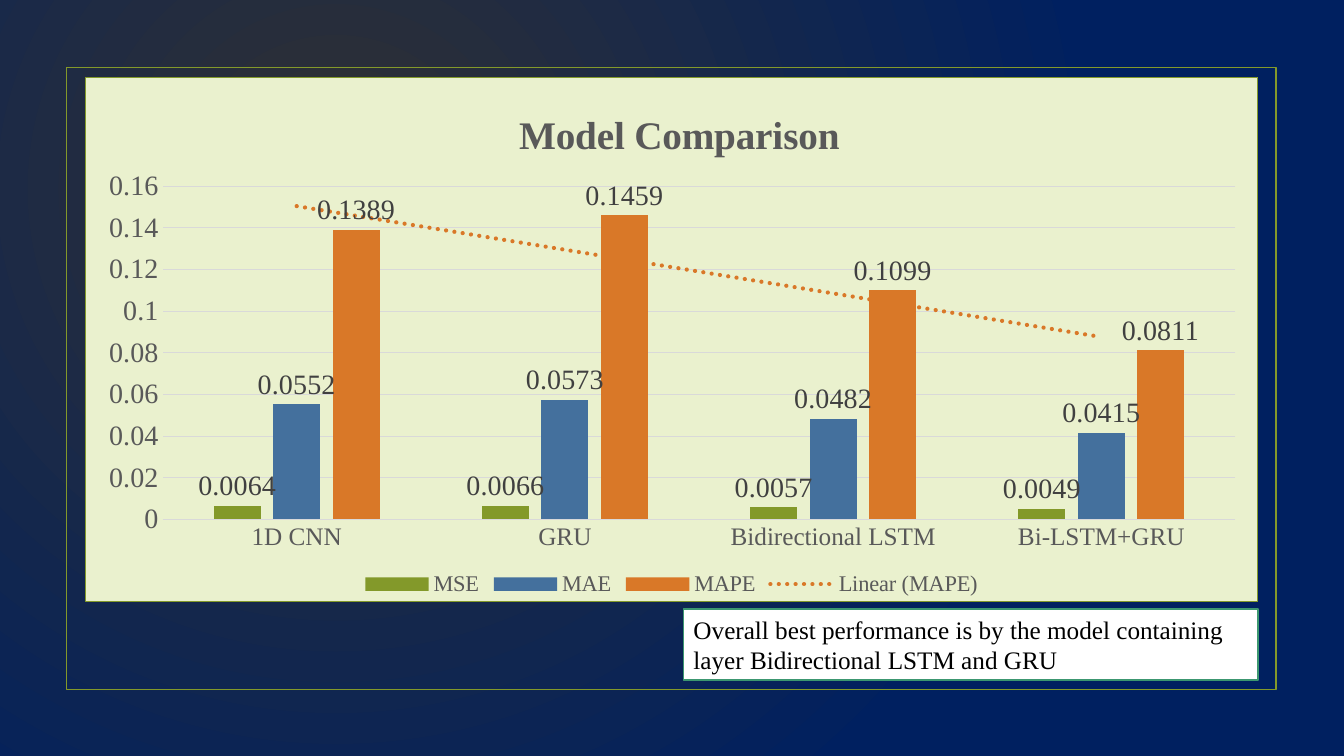
import pptx
import pptx.chart.data
import pptx.dml.color
import pptx.enum.chart
import pptx.enum.shapes
import pptx.oxml
import pptx.oxml.ns
import pptx.util

Inches = pptx.util.Inches
Pt = pptx.util.Pt
RGBColor = pptx.dml.color.RGBColor
qn = pptx.oxml.ns.qn

CHARCOAL = RGBColor(0x31, 0x31, 0x31)
NAVY = RGBColor(0x00, 0x20, 0x60)
OLIVE = RGBColor(0x83, 0x99, 0x2A)
BLUE = RGBColor(0x44, 0x70, 0x9D)
ORANGE = RGBColor(0xD9, 0x78, 0x28)
TEAL = RGBColor(0x3C, 0x97, 0x70)
PALE_GREEN = RGBColor(0xEA, 0xF1, 0xCE)
WHITE = RGBColor(0xFF, 0xFF, 0xFF)
BLACK = RGBColor(0x00, 0x00, 0x00)
TEXT_GREY = RGBColor(0x59, 0x59, 0x59)
LABEL_GREY = RGBColor(0x40, 0x40, 0x40)
GRID_GREY = RGBColor(0xD9, 0xD9, 0xD9)

MODELS = ["1D CNN", "GRU", "Bidirectional LSTM", "Bi-LSTM+GRU"]
METRICS = [
    ("MSE", OLIVE, (0.0064, 0.0066, 0.0057, 0.0049)),
    ("MAE", BLUE, (0.0552, 0.0573, 0.0482, 0.0415)),
    ("MAPE", ORANGE, (0.1389, 0.1459, 0.1099, 0.0811)),
]


def xml(tag, body):
    namespaces = pptx.oxml.ns.nsdecls("c", "a")
    return pptx.oxml.parse_xml(f"<{tag} {namespaces}>{body}</{tag}>")


def manual_layout(target="", **fractions):
    edges = "".join(f'<c:{axis}Mode val="edge"/>' for axis in "xy")
    sizes = "".join(f'<c:{key} val="{value}"/>' for key, value in fractions.items())
    return xml("c:layout", f"<c:manualLayout>{target}{edges}{sizes}</c:manualLayout>")


class SlideBuilder:
    font_name = "Times New Roman"

    def __init__(self, slide):
        self.slide = slide

    def style(self, font, size, color, bold=False):
        font.name = self.font_name
        font.size = Pt(size)
        font.bold = bold
        font.color.rgb = color

    def background(self, center, edge):
        fill = self.slide.background.fill
        fill.gradient()
        for stop, color in zip(fill.gradient_stops, (center, edge)):
            stop.color.rgb = color
        linear = next(self.slide.element.iter(qn("a:lin")))
        circle = xml("a:path", '<a:fillToRect l="50000" t="50000" r="100000" b="100000"/>')
        circle.set("path", "circle")
        linear.getparent().replace(linear, circle)

    def box(self, left, top, width, height, line, fill=None):
        shape = self.slide.shapes.add_shape(
            pptx.enum.shapes.MSO_SHAPE.RECTANGLE,
            Inches(left), Inches(top), Inches(width), Inches(height))
        shape.shadow.inherit = False
        shape.line.color.rgb = line
        shape.line.width = Pt(1.25)
        if fill is None:
            shape.fill.background()
        else:
            shape.fill.solid()
            shape.fill.fore_color.rgb = fill
        return shape

    def note(self, text, *bounds):
        frame = self.box(*bounds, TEAL, WHITE).text_frame
        frame.word_wrap = True
        paragraph = frame.paragraphs[0]
        paragraph.text = text
        paragraph.alignment = pptx.enum.text.PP_ALIGN.LEFT
        self.style(paragraph.font, 18, BLACK)

    def column_chart(self, title, categories, metrics, left, top, width, height):
        data = pptx.chart.data.CategoryChartData()
        data.categories = categories
        for name, _, values in metrics:
            data.add_series(name, values)
        chart = self.slide.shapes.add_chart(
            pptx.enum.chart.XL_CHART_TYPE.COLUMN_CLUSTERED,
            Inches(left), Inches(top), Inches(width), Inches(height), data).chart
        self.style(chart.font, 10, BLACK)
        self.chart_area(chart)
        self.title(chart, title)
        self.axes(chart)
        self.columns(chart.plots[0], metrics)

        chart.has_legend = True
        chart.legend.position = pptx.enum.chart.XL_LEGEND_POSITION.BOTTOM
        chart.legend.include_in_layout = False
        self.style(chart.legend.font, 16, TEXT_GREY)
        return chart

    def chart_area(self, chart):
        area = xml("c:spPr", f'<a:solidFill><a:srgbClr val="{PALE_GREEN}"/></a:solidFill>'
                   f'<a:ln w="{Pt(0.75)}"><a:solidFill><a:srgbClr val="{OLIVE}"/>'
                   '</a:solidFill></a:ln>')
        chart.element.find(qn("c:txPr")).addprevious(area)
        plot_area = next(chart.element.iter(qn("c:plotArea")))
        for layout in plot_area.findall(qn("c:layout")):
            plot_area.remove(layout)
        plot_area.insert(0, manual_layout(
            '<c:layoutTarget val="inner"/>', x=0.066, y=0.208, w=0.915, h=0.636))

    def title(self, chart, text):
        paragraph = chart.chart_title.text_frame.paragraphs[0]
        paragraph.text = text
        self.style(paragraph.font, 28, TEXT_GREY, bold=True)
        chart.chart_title.include_in_layout = False
        title = next(chart.element.iter(qn("c:title")))
        for layout in title.findall(qn("c:layout")):
            title.remove(layout)
        title.find(qn("c:tx")).addnext(manual_layout(x=0.364, y=0.05))

    def axes(self, chart):
        for axis, size in ((chart.category_axis, 18), (chart.value_axis, 20)):
            axis.major_tick_mark = pptx.enum.chart.XL_TICK_MARK.NONE
            axis.minor_tick_mark = pptx.enum.chart.XL_TICK_MARK.NONE
            self.style(axis.tick_labels.font, size, TEXT_GREY)
        values = chart.value_axis
        values.minimum_scale, values.maximum_scale, values.major_unit = 0, 0.16, 0.02
        values.has_major_gridlines = True
        values.format.line.fill.background()
        for line in (values.major_gridlines.format.line, chart.category_axis.format.line):
            line.color.rgb = GRID_GREY
            line.width = Pt(0.75)

    def columns(self, plot, metrics):
        plot.gap_width = 219
        plot.overlap = -27
        plot.vary_by_categories = False
        for series, (_, color, _) in zip(plot.series, metrics):
            series.format.fill.solid()
            series.format.fill.fore_color.rgb = color
            labels = series.data_labels
            labels.show_value = True
            labels.position = pptx.enum.chart.XL_LABEL_POSITION.OUTSIDE_END
            self.style(labels.font, 20, LABEL_GREY)

    def trend(self, series, color):
        line = xml("c:trendline", f'<c:spPr><a:ln w="{Pt(3)}" cap="rnd"><a:solidFill>'
                   f'<a:srgbClr val="{color}"/></a:solidFill><a:prstDash val="sysDot"/>'
                   '</a:ln></c:spPr><c:trendlineType val="linear"/>'
                   '<c:dispRSqr val="0"/><c:dispEq val="0"/>')
        series.element.find(qn("c:cat")).addprevious(line) if hasattr(series, "element") \
            else series._element.find(qn("c:cat")).addprevious(line)


def main():
    presentation = pptx.Presentation()
    presentation.slide_width = Inches(13.33)
    presentation.slide_height = Inches(7.5)
    builder = SlideBuilder(presentation.slides.add_slide(presentation.slide_layouts[6]))
    builder.background(CHARCOAL, NAVY)
    builder.box(0.66, 0.67, 12, 6.17, OLIVE)
    builder.note("Overall best performance is by the model containing layer "
                 "Bidirectional LSTM and GRU", 6.78, 6.04, 5.7, 0.71)
    comparison = builder.column_chart(
        "Model Comparison", MODELS, METRICS, 0.84, 0.76, 11.64, 5.21)
    builder.trend(comparison.plots[0].series[-1], ORANGE)
    presentation.save("out.pptx")


if __name__ == "__main__":
    main()
